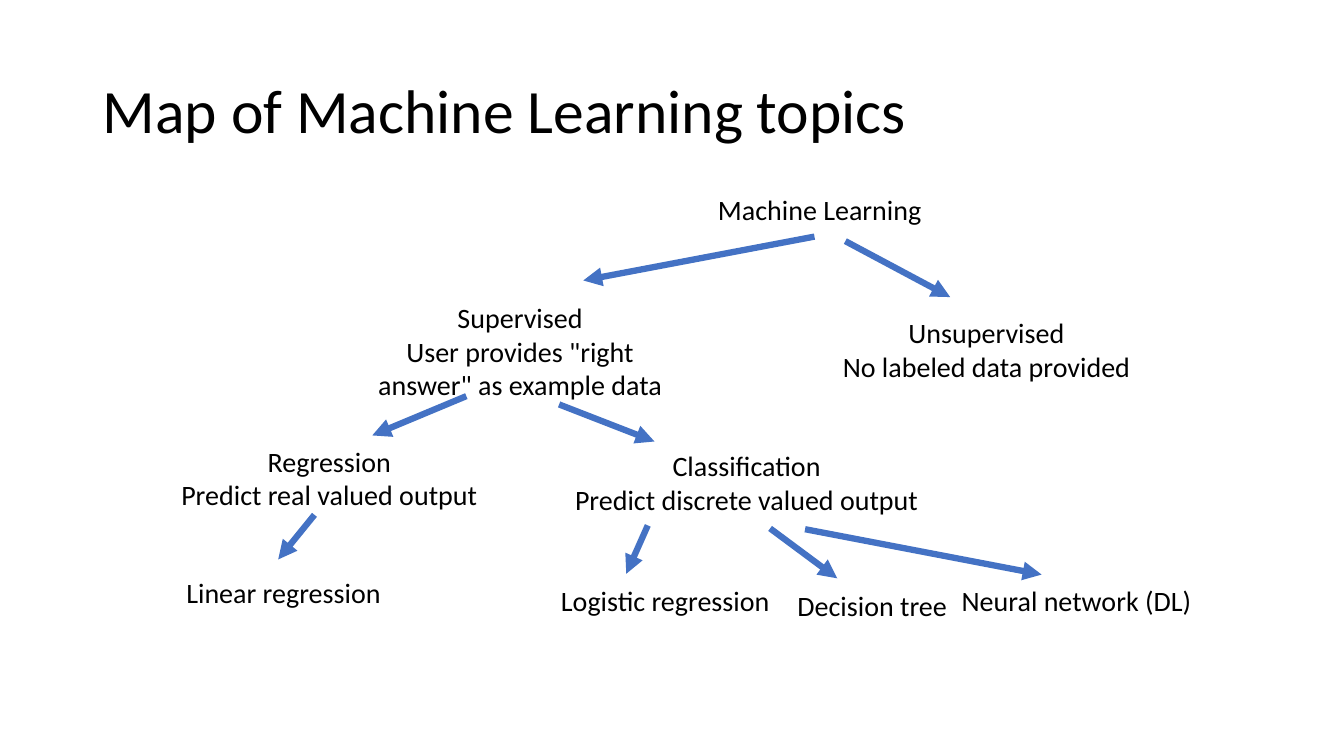
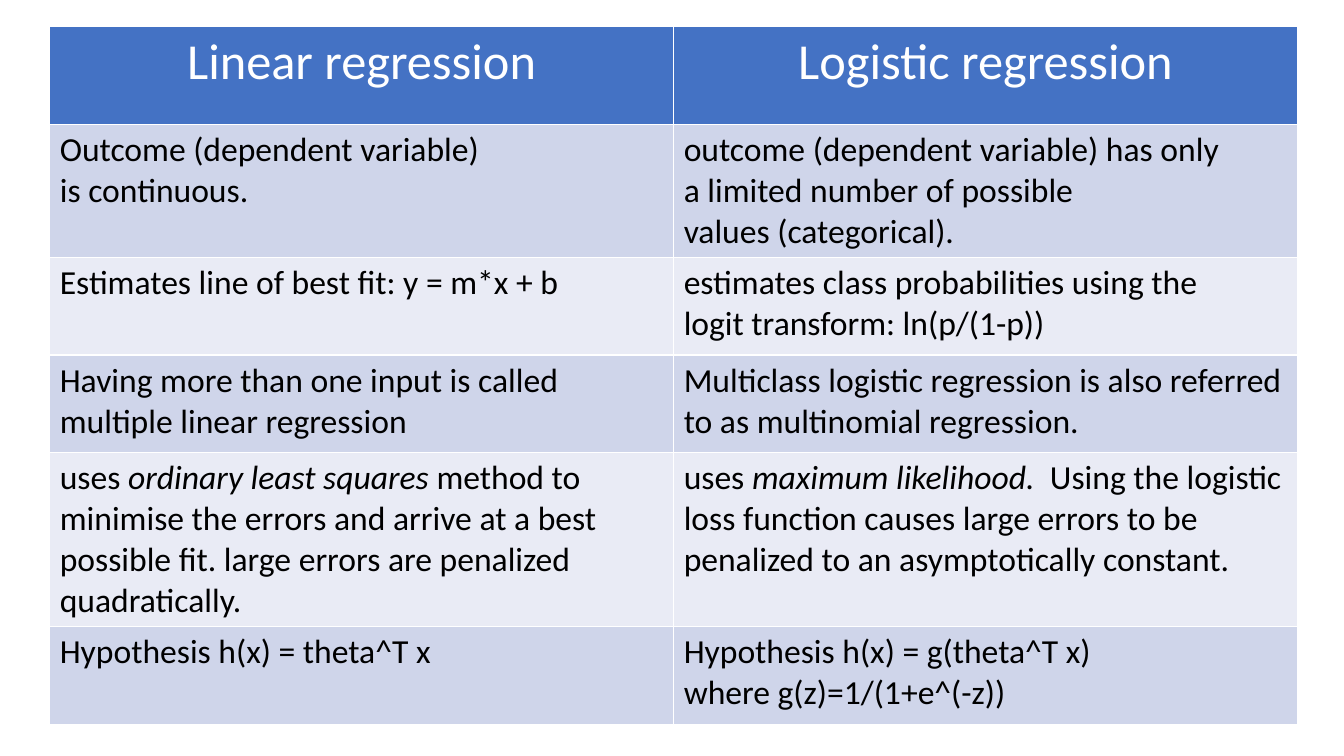
from dataclasses import dataclass

from lxml import etree
from pptx import Presentation, util as u
from pptx.dml import color
from pptx.enum import shapes, text
from pptx.oxml import ns

FONT = "Calibri"
BLACK, WHITE, BLUE = "000000", "FFFFFF", "4472C4"
BANDS = ("CFD5EA", "E9EBF5")
CENTER = text.PP_ALIGN.CENTER

deck = Presentation()
deck.slide_width, deck.slide_height = u.Inches(13.33), u.Inches(7.5)


@dataclass
class Box:
    """An area whose inner places are given in percent of its size."""
    left: float
    top: float
    width: float
    height: float

    def point(self, x, y):
        """Return the slide position at x and y percent of this box."""
        return (int(self.left + self.width * x / 100),
                int(self.top + self.height * y / 100))

    def inner(self, x, y, width, height):
        """Return a smaller box inside this one."""
        return Box(*self.point(x, y), int(self.width * width / 100),
                   int(self.height * height / 100))

    def bounds(self):
        """Return left, top, width and height."""
        return self.left, self.top, self.width, self.height


PAGE = Box(0, 0, deck.slide_width, deck.slide_height)


def rgb(value):
    """Turn a hex string into a colour."""
    return color.RGBColor.from_string(value)


def write(frame, words, size, ink=BLACK, align=None, spacing=None):
    """Write one paragraph per line; underscores enclose italic words."""
    frame.word_wrap = True
    frame.text = words.replace("_", "")
    for para, line in zip(frame.paragraphs, words.split("\n")):
        para.alignment, para.line_spacing = align, spacing
        pieces = line.split("_")
        para.text = pieces[0]
        for piece in pieces[1:]:
            para.add_run().text = piece
        for index, span in enumerate(para.runs):
            font = span.font
            font.name, font.size = FONT, u.Pt(size)
            font.bold, font.italic = False, index % 2 == 1
            font.color.rgb = rgb(ink)


def add_title(page, box, words):
    """Add the slide title, centred vertically in its box."""
    frame = page.shapes.add_textbox(*box.bounds()).text_frame
    write(frame, words, 44, spacing=0.9)
    frame.vertical_anchor = text.MSO_ANCHOR.MIDDLE


def add_topic(page, area, words, middle, top, width, lines):
    """Add a centred topic label tall enough for its lines."""
    box = area.inner(middle - width / 2, top, width, 1.4 + 4.45 * lines)
    frame = page.shapes.add_textbox(*box.bounds()).text_frame
    write(frame, words, 20, align=CENTER)


def add_arrow(page, area, start, end):
    """Add a thick arrow between two points of the area."""
    arrow = page.shapes.add_connector(
        shapes.MSO_CONNECTOR.STRAIGHT, *area.point(*start), *area.point(*end))
    arrow.line.color.rgb = rgb(BLUE)
    arrow.line.width = u.Pt(4.5)
    properties = arrow._element.spPr
    etree.SubElement(properties.find(ns.qn("a:ln")), ns.qn("a:tailEnd"), type="triangle")
    etree.SubElement(properties, ns.qn("a:effectLst"))


def add_map(page, area, topics, arrows):
    """Draw the tree of topics and the arrows that join them."""
    for topic in topics:
        add_topic(page, area, *topic)
    for start, end in arrows:
        add_arrow(page, area, start, end)


def add_comparison(page, box, rows):
    """Add a table with a blue heading row and banded rows below."""
    table = page.shapes.add_table(len(rows), len(rows[0]), *box.bounds()).table
    for number, row in enumerate(rows):
        for column, words in enumerate(row):
            cell = table.cell(number, column)
            cell.fill.solid()
            if number == 0:
                cell.fill.fore_color.rgb = rgb(BLUE)
                write(cell.text_frame, words, 36, WHITE, CENTER)
            else:
                cell.fill.fore_color.rgb = rgb(BANDS[(number - 1) % 2])
                write(cell.text_frame, words, 24)


def new_page():
    """Add an empty slide."""
    return deck.slides.add_slide(deck.slide_layouts[6])


# Words, middle, top, width, line count
TOPICS = [
    ("Machine Learning", 61, 24.8, 22.5, 1),
    ('Supervised\nUser provides "right answer" as example data', 38.7, 39.1, 24.2, 3),
    ("Unsupervised\nNo labeled data provided", 73.4, 41.1, 25.4, 2),
    ("Regression\nPredict real valued output", 24.5, 58.1, 26, 2),
    ("Classification\nPredict discrete valued output", 55.55, 58.7, 28.1, 2),
    ("Linear regression", 21.1, 75.5, 22.5, 1),
    ("Logistic regression", 49.5, 76.5, 22.5, 1),
    ("Decision tree", 64.9, 77.2, 22.5, 1),
    ("Neural network (DL)", 80.1, 76.5, 22.5, 1),
]
ARROWS = [
    ((60.6, 31.3), (43.4, 37.1)),
    ((62.9, 31.9), (70.7, 39.3)),
    ((34.7, 52.4), (27.7, 57.6)),
    ((41.6, 53.5), (48.7, 58.4)),
    ((23.4, 68.1), (20.7, 74)),
    ((48.2, 69.5), (46.6, 75.9)),
    ((57.3, 69.9), (62.3, 76.5)),
    ((59.9, 70), (77.5, 76)),
]
COMPARISON = [
    ("Linear regression", "Logistic regression"),
    ("Outcome (dependent variable) is\u00a0continuous.\u00a0",
     "outcome\u00a0(dependent variable)\u00a0has only a\u00a0limited number "
     "of\u00a0possible values\u00a0(categorical)."),
    ("Estimates line of best fit: y = m*x + b",
     "estimates\u00a0class probabilities using the "
     "logit\u00a0transform:\u00a0ln(p/(1-p))"),
    ("Having more than one input is called\nmultiple linear regression",
     "Multiclass logistic regression is\u00a0also referred to as "
     "multinomial\u00a0regression."),
    ("uses _ordinary least squares_ method to minimise the errors and arrive "
     "at a best possible fit.\u00a0large errors are penalized quadratically.",
     "uses\u00a0_maximum likelihood.\u00a0_\u00a0Using the logistic loss function "
     "causes large errors to be penalized to an asymptotically constant."),
    ("Hypothesis h(x) = theta^T x",
     "Hypothesis h(x) = g(theta^T x)\nwhere g(z)=1/(1+e^(-z))"),
]

map_page = new_page()
add_title(map_page, PAGE.inner(6.9, 5.3, 86.25, 19.3), "Map of Machine Learning topics")
add_map(map_page, PAGE, TOPICS, ARROWS)
add_comparison(new_page(), PAGE.inner(3.7, 3.5, 92.85, 77.6), COMPARISON)
deck.save("out.pptx")
